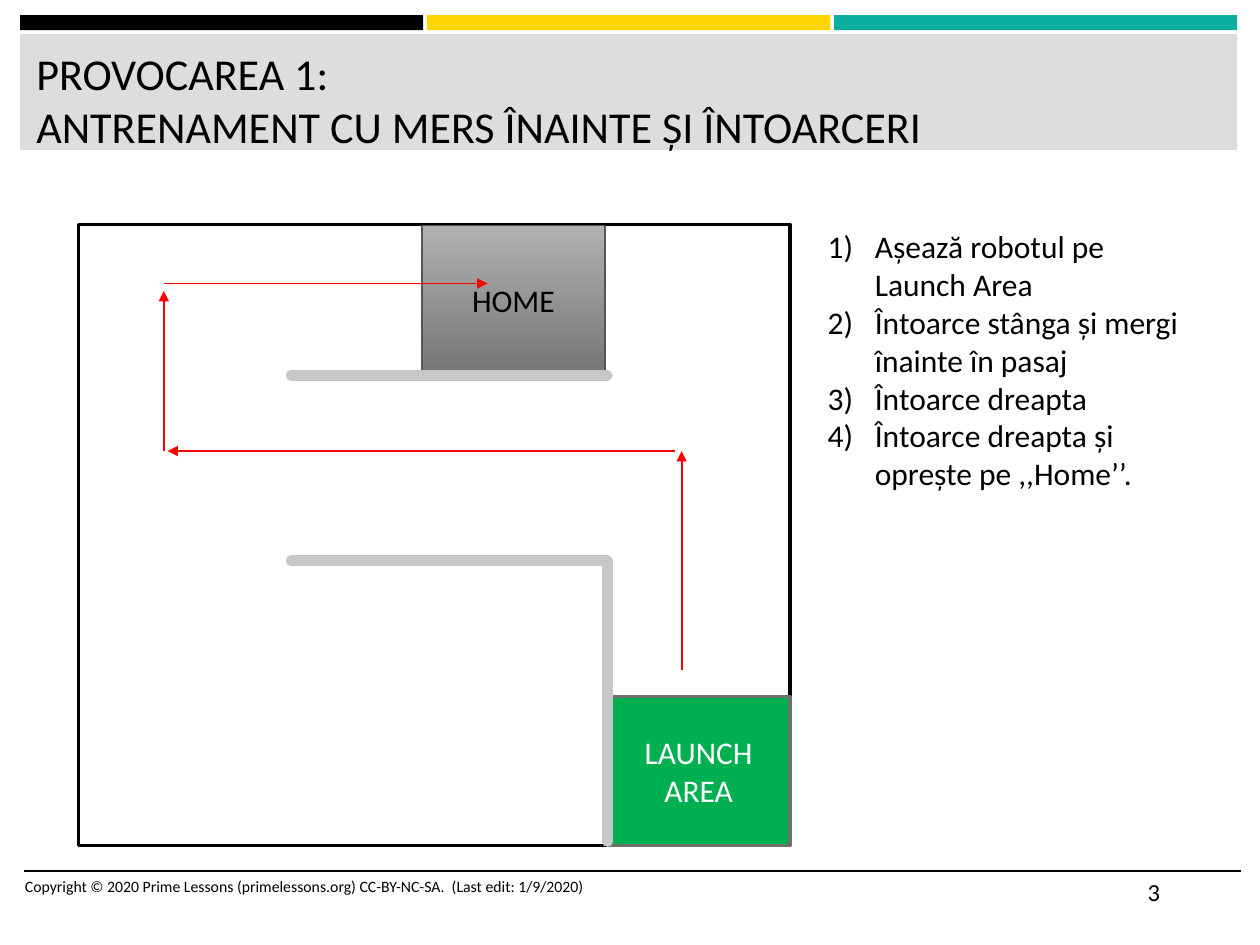
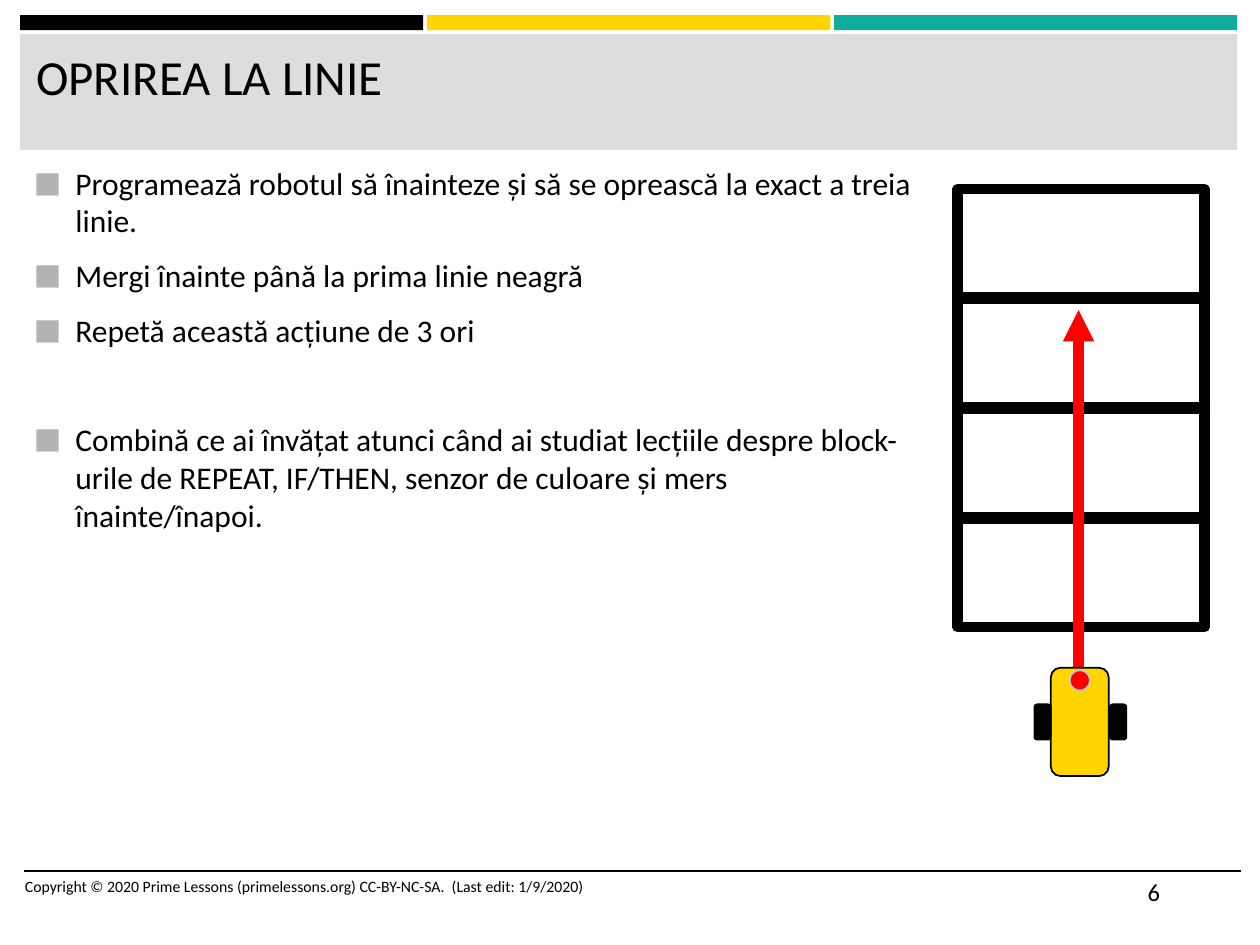
import pptx
import pptx.util
import pptx.dml.color
import pptx.enum.shapes
import pptx.enum.text
import pptx.oxml
import pptx.oxml.ns
from lxml import etree

Pt = pptx.util.Pt
Kind = pptx.enum.shapes.MSO_SHAPE
Align = pptx.enum.text.PP_ALIGN
Anchor = pptx.enum.text.MSO_ANCHOR

WIDE, HIGH = pptx.util.Inches(10), pptx.util.Inches(7.5)
CELL = WIDE // 100  # the grid has 100 columns and 75 rows
FONT = "Calibri"
HUES = {
    "ink": "000000", "paper": "FFFFFF", "band": "DDDDDD",
    "gold": "FFD500", "teal": "0EAE9F", "path": "FF0000",
    "wall": "C7C7C7", "start": "00B050", "edge": "6F6F6F",
    "light": "B1B1B1", "dark": "767676", "rim": "565656", "mark": "B2B2B2",
}
CREDIT = ("Copyright © 2020 Prime Lessons (primelessons.org) CC-BY-NC-SA. "
          " (Last edit: 1/9/2020)")


def hue(name):
    return pptx.dml.color.RGBColor.from_string(HUES[name])


def grid(*cells):
    return [round(n * CELL) for n in cells]


def put(item, **vals):
    for name, val in vals.items():
        setattr(item, name, val)


def add(node, tag, **attrs):
    """Append a DrawingML child element."""
    return etree.SubElement(node, pptx.oxml.ns.qn("a:" + tag), attrs)


def style(line, color, width):
    line.color.rgb = hue(color)
    line.width = Pt(width)


def box(shapes, area, fill=None, line=None, width=1, kind=Kind.RECTANGLE):
    shape = shapes.add_shape(kind, *grid(*area))
    shape.shadow.inherit = False
    if fill:
        shape.fill.solid()
        shape.fill.fore_color.rgb = hue(fill)
    else:
        shape.fill.background()
    if line:
        style(shape.line, line, width)
        add(shape.line._get_or_add_ln(), "round")
    else:
        shape.line.fill.background()
    return shape


def wire(shapes, ends, color, width=1, arrow=False, cap="flat"):
    line = shapes.add_connector(pptx.enum.shapes.MSO_CONNECTOR.STRAIGHT,
                                *grid(*ends))
    style(line.line, color, width)
    ln = line.line._get_or_add_ln()
    ln.set("cap", cap)
    if arrow:
        add(ln, "tailEnd", type="triangle")
    add(line._element.spPr, "effectLst")


def write(shape, lines, size, color="ink", align=Align.LEFT,
          anchor=Anchor.TOP, mark=None, **gaps):
    """Fill a shape with paragraphs; mark adds a bullet to each."""
    frame = shape.text_frame
    put(frame, word_wrap=True, vertical_anchor=anchor)
    for i, words in enumerate(lines):
        para = frame.paragraphs[0] if i == 0 else frame.add_paragraph()
        if mark:
            mark(para._p.get_or_add_pPr())
        put(para, text=words, alignment=align)
        if i:
            put(para, **gaps)
        for run in para.runs:
            put(run.font, name=FONT, size=Pt(size))
            run.font.color.rgb = hue(color)
    return frame


def text(slide, area, lines, size, **opts):
    return write(slide.shapes.add_textbox(*grid(*area)), lines, size, **opts)


def hang(props, cells):
    """Set a hanging indent."""
    (depth,) = grid(cells)
    props.set("marL", str(depth))
    props.set("indent", str(-depth))


def count(props):
    hang(props, 3.75)
    add(props, "buFont", typeface=FONT)
    add(props, "buAutoNum", type="arabicParenR")


def square(props):
    hang(props, 3.3)
    add(add(props, "buClr"), "srgbClr", val=HUES["mark"])
    add(props, "buSzPct", val="92000")
    add(props, "buFont", typeface=FONT)
    add(props, "buChar", char="■")


def page(deck, title, size, number):
    """Start a slide with the shared bands, title and footer."""
    slide = deck.slides.add_slide(deck.slide_layouts[6])
    for i, color in enumerate(("ink", "gold", "teal")):
        box(slide.shapes, (1.6 + 32.3 * i, 1.2, 32, 1.2), color)
    box(slide.shapes, (1.6, 2.7, 96.6, 9.2), "band")
    wire(slide.shapes, (1.9, 69.1, 98.5, 69.1), "ink")
    text(slide, (1.9, 3.2, 95.7, 8.2), [title], size)
    text(slide, (1, 69.1, 53.3, 4), [CREDIT], 9)
    text(slide, (90.1, 69.1, 8.4, 4), [str(number)], 14)
    return slide


def maze(slide):
    shapes = slide.shapes
    label = dict(align=Align.CENTER, anchor=Anchor.MIDDLE)
    box(shapes, (6.2, 17.8, 56.5, 49.3), "paper", "ink", 1.75)
    start = box(shapes, (48.2, 55.3, 14.5, 11.8), "start", "edge", 1.75)
    write(start, ["LAUNCH AREA"], 18, "paper", **label)
    home = box(shapes, (33.5, 17.9, 14.5, 11.8), "light", "rim")
    home.fill.gradient()
    home.fill.gradient_angle = 270
    for stop, color in zip(home.fill.gradient_stops, ("light", "dark")):
        stop.color.rgb = hue(color)
        stop.position = 0 if color == "light" else 1
    write(home, ["HOME"], 18, **label)

    for ends in ((54.1, 53.2, 54.1, 35.8), (53.6, 35.8, 13.3, 35.8),
                 (13, 35.8, 13, 23.1), (13, 22.5, 38.7, 22.5)):
        wire(shapes, ends, "path", arrow=True)
    for ends in ((48.2, 66.8, 48.2, 44.5), (48.2, 44.5, 23.1, 44.5),
                 (48.2, 29.8, 23.1, 29.8)):
        wire(shapes, ends, "wall", 6, cap="rnd")


def track(slide):
    for i in range(4):
        box(slide.shapes, (76, 15 + 8.73 * i, 19.6, 8.6), None, "ink", 6)
    wire(slide.shapes, (85.6, 57.8, 85.6, 24.6), "path", 6, arrow=True)


def robot(slide):
    parts = slide.shapes.add_group_shape().shapes
    round_box = Kind.ROUNDED_RECTANGLE
    box(parts, (83.4, 53, 4.6, 8.6), "gold", "ink", kind=round_box)
    for left in (88.1, 82.1):
        box(parts, (left, 55.9, 1.3, 2.8), "ink", "ink", kind=round_box)
    box(parts, (84.9, 53.2, 1.6, 1.6), "path", "wall", kind=Kind.OVAL)


def main():
    deck = pptx.Presentation()
    put(deck, slide_width=WIDE, slide_height=HIGH)

    slide = page(deck, "PROVOCAREA 1: \vANTRENAMENT CU MERS ÎNAINTE ȘI "
                 "ÎNTOARCERI", 25.2, 3)
    maze(slide)
    text(slide, (64.7, 17.1, 31.4, 22.9), [
        "Așează robotul pe Launch Area",
        "Întoarce stânga și mergi înainte în pasaj",
        "Întoarce dreapta",
        "Întoarce dreapta și oprește pe ,,Home’’.",
    ], 18, anchor=Anchor.MIDDLE, mark=count)

    slide = page(deck, "OPRIREA LA LINIE", 28, 6)
    body = text(slide, (1.7, 12.5, 71.8, 55.6), [
        "Programează robotul să înainteze și să se oprească la exact a treia "
        "linie.",
        "Mergi înainte până la prima linie neagră",
        "Repetă această acțiune de 3 ori",
        "Combină ce ai învățat atunci când ai studiat lecțiile despre "
        "block-urile de REPEAT, IF/THEN, senzor de culoare și mers "
        "înainte/înapoi.",
    ], 18, mark=square, space_before=Pt(9.6))
    body.paragraphs[-1].space_before = Pt(41)
    track(slide)
    robot(slide)
    deck.save("out.pptx")


if __name__ == "__main__":
    main()
